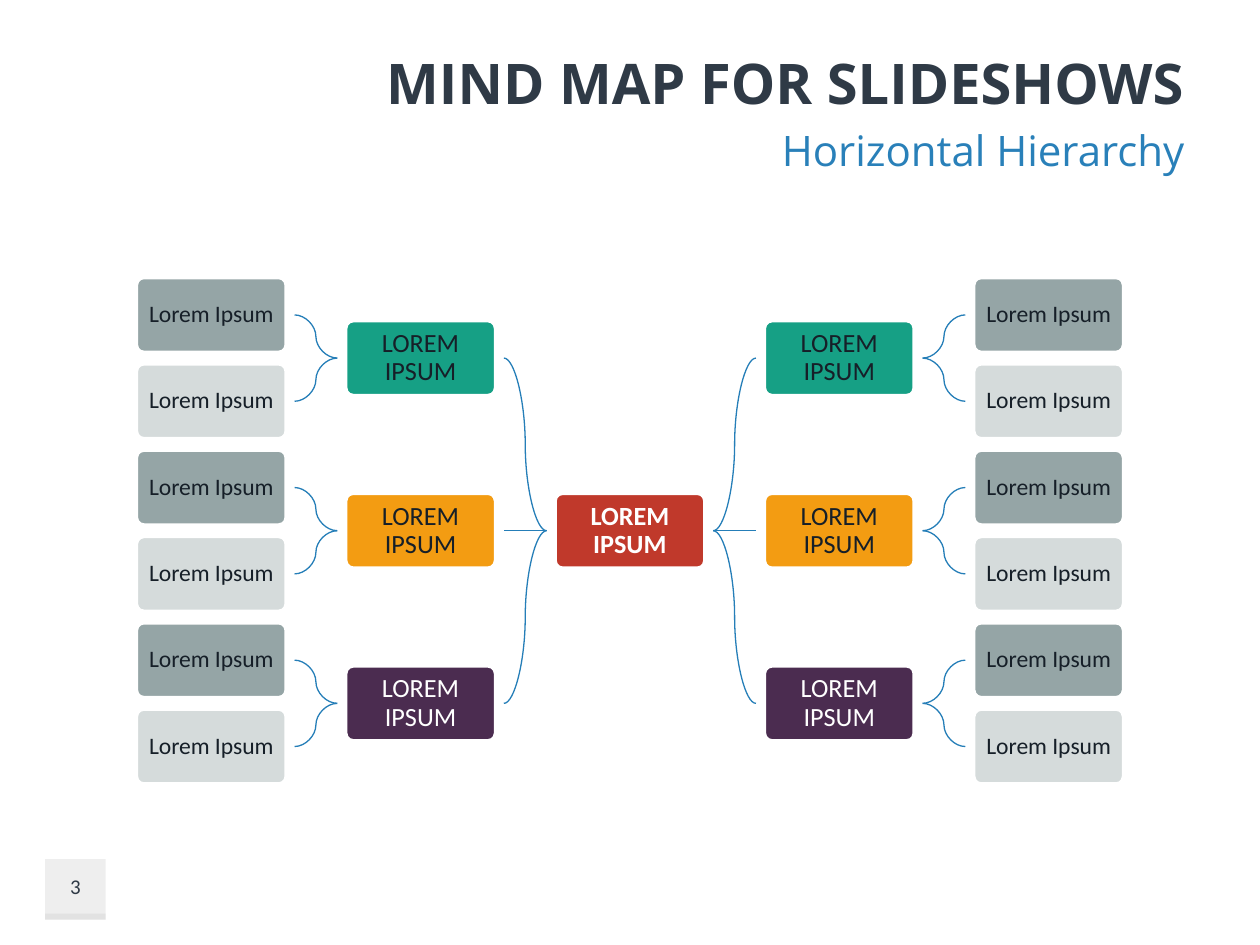
"""Build a mind map slide with a horizontal hierarchy."""
from lxml import etree
from pptx import Presentation
from pptx.dml.color import RGBColor
from pptx.enum import shapes, text
from pptx.oxml import ns
from pptx.util import Cm, Pt

NAVY = RGBColor(0x2F, 0x3A, 0x46)
BLUE = RGBColor(0x29, 0x80, 0xB9)
LINK = RGBColor(0x25, 0x7E, 0xB8)
INK = RGBColor(0x16, 0x1F, 0x28)
WHITE = RGBColor(0xFF, 0xFF, 0xFF)
RED = RGBColor(0xC0, 0x39, 0x2B)
GREEN = RGBColor(0x16, 0xA0, 0x85)
ORANGE = RGBColor(0xF3, 0x9C, 0x12)
PURPLE = RGBColor(0x4B, 0x2C, 0x50)
GREY = RGBColor(0x95, 0xA5, 0xA6)
PALE = RGBColor(0xD5, 0xDB, 0xDB)
SILVER = RGBColor(0xBF, 0xBF, 0xBF)

CENTER_X, CENTER_Y = 12.7, 10.7
COLUMN_STEP, ROW_STEP, LEAF_OFFSET = 4.22, 3.48, 0.87
NODE_WIDTH, NODE_HEIGHT = 3.02, 1.51
LINK_OFFSET = 1.68


class MindMap:
    """Holds the style and the current slide, and draws each kind of element."""

    heading_font = "Open Sans"
    body_font = "Calibri"

    def __init__(self, slide):
        self.slide = slide

    def set_words(self, frame, words, font, size, color, align, bold=False):
        frame.word_wrap = True
        frame.vertical_anchor = text.MSO_ANCHOR.MIDDLE
        frame.text = words
        para = frame.paragraphs[0]
        para.alignment = align
        span = para.runs[0].font
        span.name, span.size, span.bold = font, Pt(size), bold
        span.color.rgb = color
        return para

    def label(self, area, words, font, size, color, align, bold=False):
        box = self.slide.shapes.add_textbox(*map(Cm, area))
        self.set_words(box.text_frame, words, font, size, color, align, bold)

    def heading(self, area, words, size, color, bold=False):
        self.label(area, words, self.heading_font, size, color, text.PP_ALIGN.RIGHT, bold)

    def panel(self, area, color, opacity):
        box = self.slide.shapes.add_shape(shapes.MSO_SHAPE.RECTANGLE, *map(Cm, area))
        box.shadow.inherit = False
        box.fill.solid()
        box.fill.fore_color.rgb = color
        tint = box._element.spPr.find(".//" + ns.qn("a:srgbClr"))
        etree.SubElement(tint, ns.qn("a:alpha"), val=str(opacity * 1000))
        box.line.fill.background()

    def node(self, x, y, words, fill, color=INK, size=15, bold=False):
        box = self.slide.shapes.add_shape(
            shapes.MSO_SHAPE.ROUNDED_RECTANGLE,
            Cm(x - NODE_WIDTH / 2), Cm(y - NODE_HEIGHT / 2), Cm(NODE_WIDTH), Cm(NODE_HEIGHT))
        box.adjustments[0] = 0.1
        box.shadow.inherit = False
        box.fill.solid()
        box.fill.fore_color.rgb = fill
        box.line.color.rgb = WHITE
        box.line.width = Pt(2)
        frame = box.text_frame
        frame.margin_left = frame.margin_right = Cm(0.1)
        frame.margin_top = frame.margin_bottom = Cm(0.1)
        para = self.set_words(
            frame, words, self.body_font, size, color, text.PP_ALIGN.CENTER, bold)
        para.line_spacing = 0.9

    def link(self, parent, child, side):
        (start_x, start_y), (end_x, end_y) = parent, child
        kind = shapes.MSO_CONNECTOR.STRAIGHT if start_y == end_y else shapes.MSO_CONNECTOR.CURVE
        line = self.slide.shapes.add_connector(
            kind, Cm(start_x + side * LINK_OFFSET), Cm(start_y),
            Cm(end_x - side * LINK_OFFSET), Cm(end_y))
        line.line.color.rgb = LINK
        line.line.width = Pt(0.75)
        etree.SubElement(line._element.spPr, ns.qn("a:effectLst"))


def main():
    deck = Presentation()
    deck.slide_width, deck.slide_height = Cm(25.4), Cm(19.05)
    page = MindMap(deck.slides.add_slide(deck.slide_layouts[6]))

    page.panel((0.91, 17.32, 1.22, 1.22), SILVER, 25)
    page.panel((0.91, 18.42, 1.22, 0.12), SILVER, 25)
    page.heading((4.52, 0.84, 19.61, 1.63), "MIND MAP FOR SLIDESHOWS", 32, NAVY, bold=True)
    page.heading((4.52, 2.39, 19.61, 1.27), "Horizontal Hierarchy", 24, BLUE)

    root = (CENTER_X, CENTER_Y)
    page.node(*root, "LOREM IPSUM", RED, WHITE, bold=True)
    branches = ((-1, GREEN, INK), (0, ORANGE, INK), (1, PURPLE, WHITE))
    for side in (-1, 1):
        for row, fill, color in branches:
            branch = (CENTER_X + side * COLUMN_STEP, CENTER_Y + row * ROW_STEP)
            page.node(*branch, "LOREM IPSUM", fill, color)
            page.link(root, branch, side)
            for direction, shade in ((-1, GREY), (1, PALE)):
                leaf = (branch[0] + side * COLUMN_STEP, branch[1] + direction * LEAF_OFFSET)
                page.node(*leaf, "Lorem Ipsum", shade, size=13.5)
                page.link(branch, leaf, side)

    page.label((0.91, 17.32, 1.22, 1.09), "3", page.body_font, 12, NAVY, text.PP_ALIGN.CENTER)
    deck.save("out.pptx")


if __name__ == "__main__":
    main()
